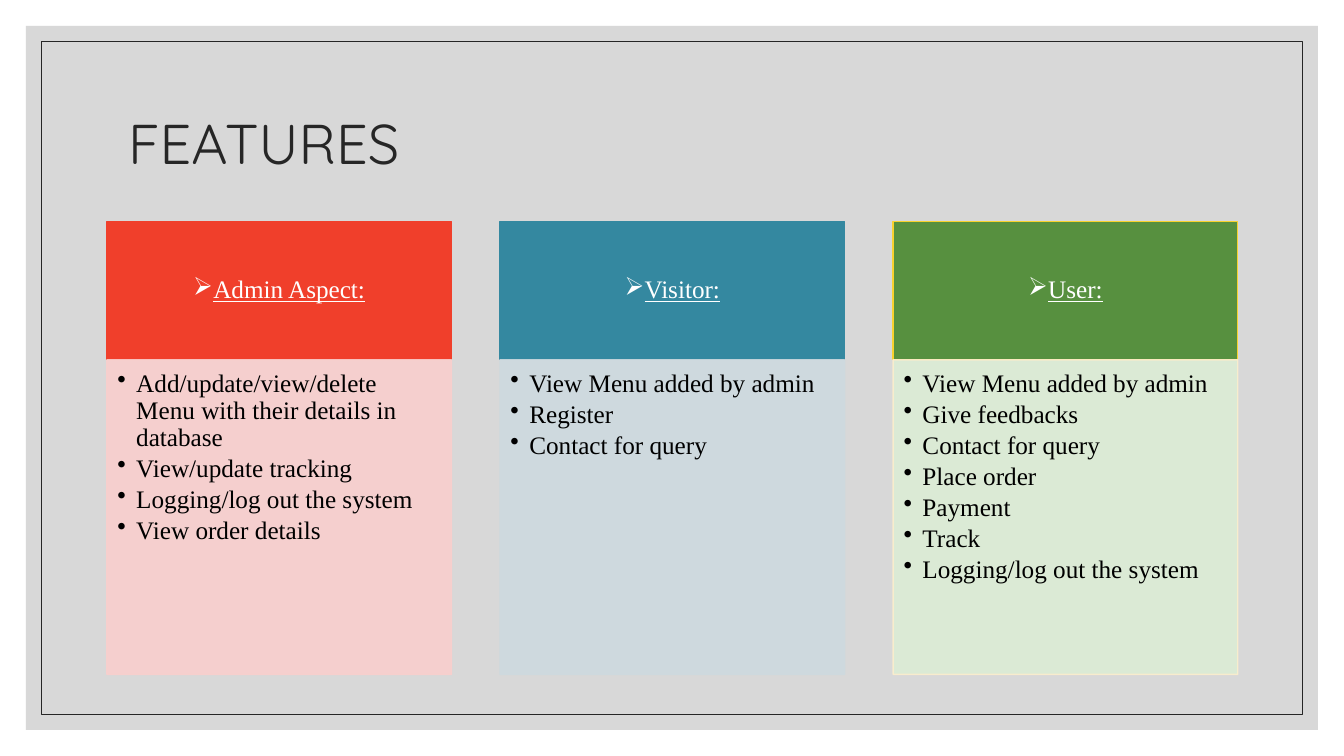
from dataclasses import dataclass

from lxml.etree import SubElement
from pptx import Presentation
from pptx.dml.color import RGBColor
from pptx.enum.shapes import MSO_SHAPE as Preset
from pptx.enum.text import MSO_ANCHOR as Anchor, PP_ALIGN as Align
from pptx.oxml.ns import qn
from pptx.util import Pt


@dataclass(frozen=True)
class Theme:
    backdrop: str = "BFBFBF"
    ink: str = "262626"
    white: str = "FFFFFF"
    black: str = "000000"
    title_font: str = "Quicksand"
    text_font: str = "Times New Roman"
    title_size: float = 40
    text_size: float = 18


@dataclass(frozen=True)
class Column:
    heading: str
    features: tuple
    head_fill: str
    head_line: str
    body_fill: str
    body_line: str


THEME = Theme()
SLIDE_WIDTH, SLIDE_HEIGHT = 960, 540
COLUMN_WIDTH, COLUMN_GAP = 246.24, 34.56
HEAD_HEIGHT = 98.64

COLUMNS = (
    Column(
        "Admin Aspect:",
        (
            "Add/update/view/delete Menu with their details in database",
            "View/update tracking",
            "Logging/log out the system",
            "View order details",
        ),
        "F03F2B", "F03F2B", "F9CFCD", "F9CFCD",
    ),
    Column(
        "Visitor:",
        ("View Menu added by admin", "Register", "Contact for query"),
        "3488A0", "3488A0", "CEDADF", "CEDADF",
    ),
    Column(
        "User:",
        (
            "View Menu added by admin",
            "Give feedbacks",
            "Contact for query",
            "Place order",
            "Payment",
            "Track",
            "Logging/log out the system",
        ),
        "57903F", "F8D22F", "DCEDD5", "FCEECD",
    ),
)


def add_rectangle(page, box, fill=None, line=None, line_width=1.0, opacity=100):
    shape = page.shapes.add_shape(Preset.RECTANGLE, *map(Pt, box))
    shape.shadow.inherit = False
    if fill:
        shape.fill.solid()
        shape.fill.fore_color.rgb = RGBColor.from_string(fill)
    else:
        shape.fill.background()
    if line:
        shape.line.color.rgb = RGBColor.from_string(line)
        shape.line.width = Pt(line_width)
    else:
        shape.line.fill.background()
    if opacity < 100:
        for color in shape.element.iter(qn("a:srgbClr")):
            SubElement(color, qn("a:alpha"), val=str(opacity * 1000))
    return shape


def set_frame(shape, anchor, insets):
    frame = shape.text_frame
    frame.word_wrap = True
    frame.vertical_anchor = anchor
    frame.margin_left, frame.margin_top, frame.margin_right, frame.margin_bottom = map(Pt, insets)
    return frame


def add_run(para, text, font, size, color, underline=None):
    run = para.add_run()
    run.text = text
    run.font.name = font
    run.font.size = Pt(size)
    run.font.color.rgb = RGBColor.from_string(color)
    run.font.underline = underline


def add_bulleted(para, text, bullet, align, indent, space_after, color, underline=None):
    para.alignment = align
    para.line_spacing = 0.9
    para.space_after = Pt(space_after)
    properties = para._p.get_or_add_pPr()
    properties.set("marL", str(Pt(indent)))
    properties.set("indent", str(-Pt(indent)))
    SubElement(properties, qn("a:buChar"), char=bullet)
    add_run(para, text, THEME.text_font, THEME.text_size, color, underline)


def add_backdrop(page):
    def inset_box(inset):
        return inset, inset, SLIDE_WIDTH - 2 * inset, SLIDE_HEIGHT - 2 * inset

    panel = add_rectangle(page, inset_box(18.6), fill=THEME.backdrop, opacity=60)
    border = add_rectangle(page, inset_box(29.4), line=THEME.ink, line_width=0.5)
    for shape in (panel, border):
        page.shapes.title.element.addprevious(shape.element)


def add_title(page, box, text):
    title = page.shapes.title
    title.left, title.top, title.width, title.height = map(Pt, box)
    frame = set_frame(title, Anchor.MIDDLE, (7.2, 3.6, 7.2, 3.6))
    para = frame.paragraphs[0]
    para.alignment = Align.LEFT
    para.line_spacing = 0.9
    add_run(para, text, THEME.title_font, THEME.title_size, THEME.ink)


def add_column(page, box, column):
    left, top, width, height = box
    head = add_rectangle(page, (left, top, width, HEAD_HEIGHT), column.head_fill, column.head_line)
    frame = set_frame(head, Anchor.MIDDLE, (10.08, 5.76, 10.08, 5.76))
    add_bulleted(frame.paragraphs[0], column.heading, "➢", Align.CENTER, 0, 6.3, THEME.white, True)

    body_box = (left, top + HEAD_HEIGHT, width, height - HEAD_HEIGHT)
    body = add_rectangle(page, body_box, column.body_fill, column.body_line, opacity=90)
    frame = set_frame(body, Anchor.TOP, (7.5, 7.5, 10.08, 11.52))
    for index, feature in enumerate(column.features):
        para = frame.add_paragraph() if index else frame.paragraphs[0]
        add_bulleted(para, feature, "•", Align.LEFT, 13.5, 2.7, THEME.black)


def add_columns(page, box):
    left, top, height = box
    for index, column in enumerate(COLUMNS):
        column_left = left + index * (COLUMN_WIDTH + COLUMN_GAP)
        add_column(page, (column_left, top, COLUMN_WIDTH, height), column)


def main():
    deck = Presentation()
    deck.slide_width, deck.slide_height = Pt(SLIDE_WIDTH), Pt(SLIDE_HEIGHT)
    page = deck.slides.add_slide(deck.slide_layouts[5])
    add_backdrop(page)
    add_title(page, (84.24, 50.4, 782.64, 108), "FEATURES")
    add_columns(page, (76.32, 158.4, 323.28))
    deck.save("out.pptx")


if __name__ == "__main__":
    main()
